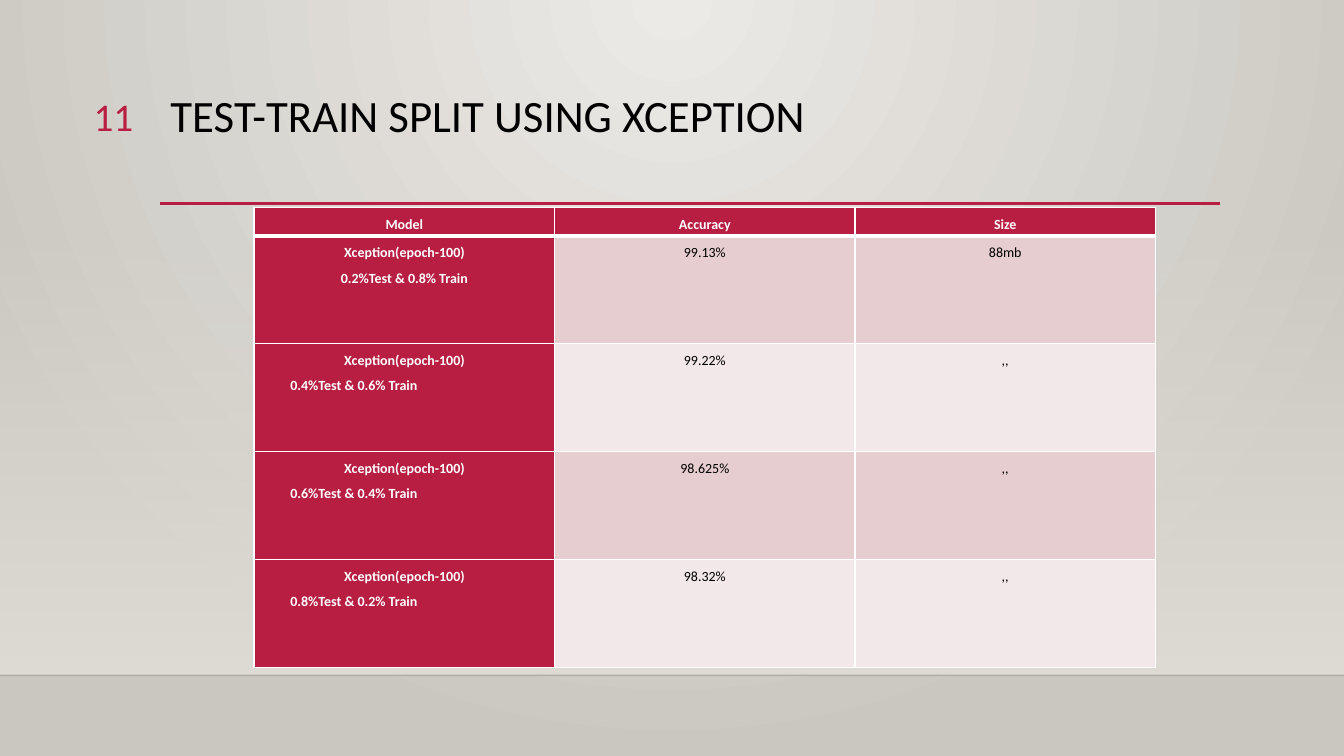
from lxml.etree import SubElement
from pptx import Presentation
from pptx.dml.color import RGBColor
from pptx.enum.shapes import MSO_CONNECTOR, MSO_SHAPE
from pptx.enum.text import MSO_ANCHOR, PP_ALIGN
from pptx.oxml.ns import qn
from pptx.util import Inches, Pt

COLORS = {
    "accent": "B71E42", "white": "FFFFFF", "black": "000000",
    "band_dark": "E6CDCF", "band_light": "F3E8E9",
    "center": "ECEAE7", "edge": "CAC7C1", "haze": "DFDBD5", "floor": "000001",
}


def rgb(name):
    return RGBColor.from_string(COLORS[name])


def write(paragraph, text, size, color, align, bold=False):
    paragraph.alignment = align
    run = paragraph.add_run()
    run.text = text
    run.font.color.rgb = rgb(color)
    for attribute, value in {"name": "Calibri", "size": Pt(size), "bold": bold}.items():
        setattr(run.font, attribute, value)


prs = Presentation()
prs.slide_width, prs.slide_height = Inches(13.33), Inches(7.5)
slide = prs.slides.add_slide(prs.slide_layouts[5])
shapes = slide.shapes

# Background glow from the top centre
backdrop = slide.background.fill
backdrop.gradient()
for stop, color in zip(backdrop.gradient_stops, ("center", "edge")):
    stop.color.rgb = rgb(color)
glow = slide.element.find(".//" + qn("a:gradFill"))
glow.remove(glow.find(qn("a:lin")))
circle = SubElement(glow, qn("a:path"), {"path": "circle"})
SubElement(circle, qn("a:fillToRect"), {"l": "43000", "t": "0", "r": "43000", "b": "100000"})

# Haze that thickens towards the floor line
haze = shapes.add_shape(MSO_SHAPE.RECTANGLE, 0, Inches(2.21), prs.slide_width, Inches(4.49))
haze.shadow.inherit = False
haze.line.fill.background()
haze.fill.gradient()
haze.fill.gradient_angle = 270
for stop in haze.fill.gradient_stops:
    stop.color.rgb = rgb("haze")
clear_color = haze.element.spPr.find(".//" + qn("a:srgbClr"))
SubElement(clear_color, qn("a:alpha"), {"val": "0"})

# Floor line and title rule
for left, right, y, color, width, opacity in (
    (0, 13.33, 6.7, "floor", 1, 20),
    (1.59, 12.1, 2.02, "accent", 2.5, 100),
):
    rule = shapes.add_connector(
        MSO_CONNECTOR.STRAIGHT, Inches(left), Inches(y), Inches(right), Inches(y))
    rule.line.color.rgb = rgb(color)
    rule.line.width = Pt(width)
    properties = rule.element.spPr
    SubElement(properties.find(".//" + qn("a:srgbClr")), qn("a:alpha"),
               {"val": str(opacity * 1000)})
    SubElement(properties, qn("a:effectLst"))

# Title and slide number
title = shapes.title
title.left, title.top, title.width, title.height = map(Inches, (1.59, 0.88, 10.5, 1.15))
number = shapes.add_textbox(Inches(0.53), Inches(0.87), Inches(0.89), Inches(0.55))
for box, text, size, color, align in (
    (title, "TEST-TRAIN SPLIT USING XCEPTION", 32, "black", PP_ALIGN.LEFT),
    (number, "11", 28, "accent", PP_ALIGN.RIGHT),
):
    box.text_frame.word_wrap = True
    box.text_frame.vertical_anchor = MSO_ANCHOR.TOP
    write(box.text_frame.paragraphs[0], text, size, color, align)
title.text_frame.paragraphs[0].line_spacing = 0.9

# Results table
MODEL = "Xception(epoch-100)"
results = [
    ("Model", "Accuracy", "Size"),
    (MODEL + "\n0.2%Test & 0.8% Train", "99.13%", "88mb"),
    (MODEL + "\n0.4%Test & 0.6% Train", "99.22%", ",,"),
    (MODEL + "\n0.6%Test & 0.4% Train", "98.625%", ",,"),
    (MODEL + "\n0.8%Test & 0.2% Train", "98.32%", ",,"),
]
table = shapes.add_table(
    5, 3, Inches(2.52), Inches(2.06), Inches(8.94), Inches(4.56)).table
for column in table.columns:
    column.width = Inches(2.98)

for r, record in enumerate(results):
    table.rows[r].height = Inches(1.07 if r else 0.28)
    for c, text in enumerate(record):
        cell = table.cell(r, c)
        cell.margin_left = cell.margin_right = Inches(0.07)
        cell.margin_top = cell.margin_bottom = 0
        for side in ("lnL", "lnR", "lnT", "lnB"):
            thick = (r, side) in ((0, "lnB"), (1, "lnT"))
            border = SubElement(cell._tc.get_or_add_tcPr(), qn("a:" + side),
                                {"w": str(Pt(3 if thick else 1))})
            border_fill = SubElement(border, qn("a:solidFill"))
            SubElement(border_fill, qn("a:srgbClr"), {"val": COLORS["white"]})
        heading = r == 0 or c == 0
        band = "band_dark" if r % 2 else "band_light"
        cell.fill.solid()
        cell.fill.fore_color.rgb = rgb("accent" if heading else band)

        for i, line in enumerate(text.split("\n")):
            frame = cell.text_frame
            paragraph = frame.add_paragraph() if i else frame.paragraphs[0]
            paragraph.line_spacing = 1.5
            indented = i == 1 and r > 1
            write(paragraph, line, 10, "white" if heading else "black",
                  PP_ALIGN.LEFT if indented else PP_ALIGN.CENTER, heading)
            if indented:
                paragraph._p.get_or_add_pPr().set("marL", str(Inches(0.29)))

prs.save("out.pptx")
